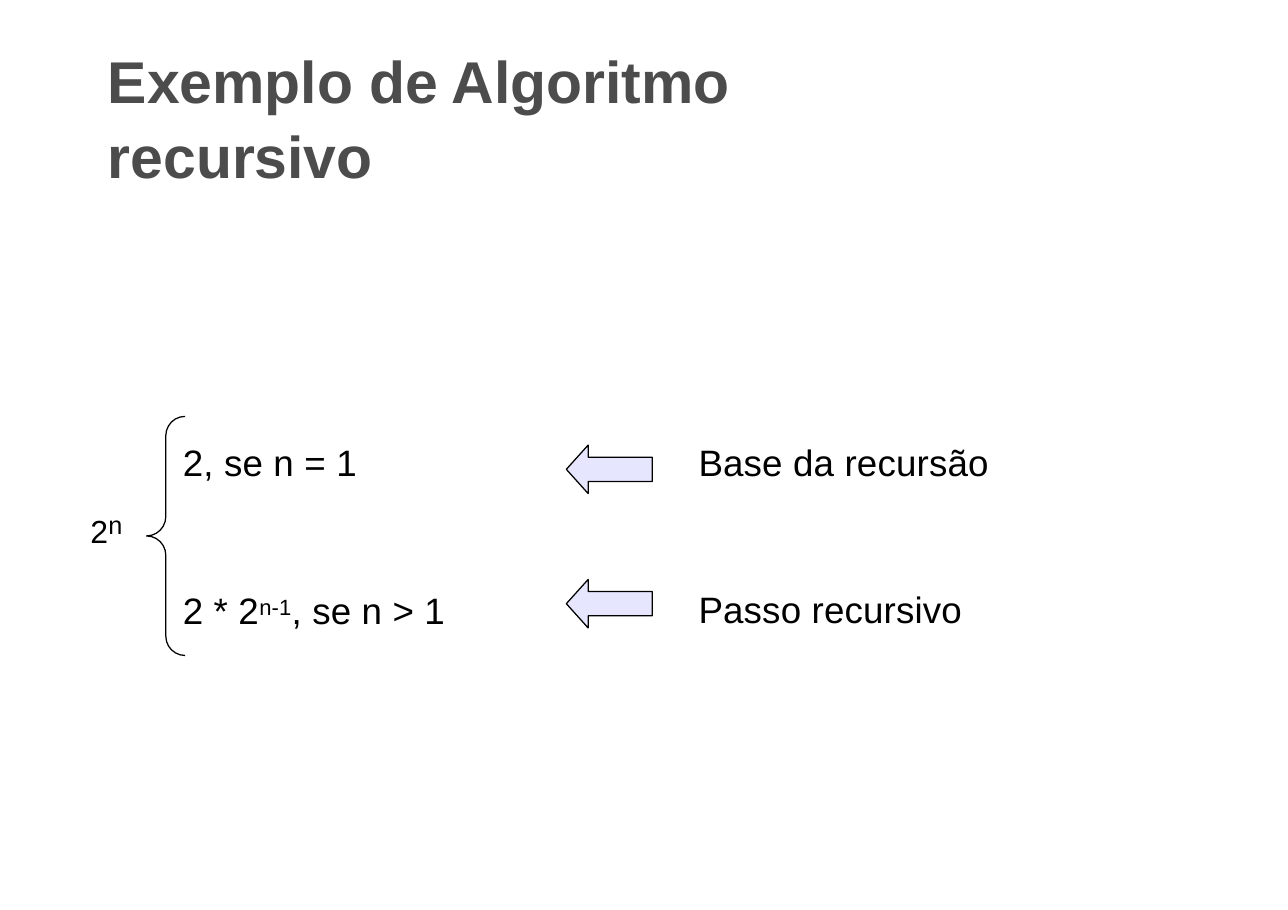
from dataclasses import dataclass

from pptx import Presentation
from pptx.dml.color import RGBColor
from pptx.enum.shapes import MSO_SHAPE
from pptx.util import Inches, Pt

LEFT_ARROW, LEFT_BRACE = MSO_SHAPE.LEFT_ARROW, MSO_SHAPE.LEFT_BRACE


@dataclass(frozen=True)
class Theme:
    font: str = "Arial"
    ink: RGBColor = RGBColor(0x00, 0x00, 0x00)
    heading: RGBColor = RGBColor(0x4C, 0x4C, 0x4C)
    arrow_fill: RGBColor = RGBColor(0xE6, 0xE6, 0xFF)
    title_size: float = 38.5
    body_size: float = 24
    exponent_size: float = 24.8
    power_size: float = 36
    power_exponent_size: float = 16.5
    line_width: float = 0.81
    line_spacing: float = 1.06


THEME = Theme()
SLIDE_WIDTH, SLIDE_HEIGHT = 11.69, 8.26


def add_text(slide, box, runs, color=THEME.ink, bold=False, spacing=10):
    """Each run is (text, size, baseline shift in percent)."""
    text_box = slide.shapes.add_textbox(*map(Inches, box))
    frame = text_box.text_frame
    frame.word_wrap = True
    for side in ("left", "top", "right", "bottom"):
        setattr(frame, f"margin_{side}", 0)
    paragraph = frame.paragraphs[0]
    paragraph.line_spacing = THEME.line_spacing
    for text, size, shift in runs:
        run = paragraph.add_run()
        run.text = text
        formats = {"name": THEME.font, "size": Pt(size), "bold": bold}
        for name, value in formats.items():
            setattr(run.font, name, value)
        run.font.color.rgb = color
        properties = run._r.get_or_add_rPr()
        properties.set("spc", str(spacing))
        if shift:
            properties.set("baseline", str(shift * 1000))


def add_outline(slide, kind, box, adjustments, fill=None):
    shape = slide.shapes.add_shape(kind, *map(Inches, box))
    shape.shadow.inherit = False
    for index, value in enumerate(adjustments):
        shape.adjustments[index] = value
    if fill is None:
        shape.fill.background()
    else:
        shape.fill.solid()
        shape.fill.fore_color.rgb = fill
    shape.line.color.rgb = THEME.ink
    shape.line.width = Pt(THEME.line_width)


def add_title(slide, box):
    add_text(slide, box, [("Exemplo de Algoritmo recursivo", THEME.title_size, 0)],
             THEME.heading, bold=True, spacing=-5)


def add_definition(slide, box):
    left, top, width, height = box
    # Power being defined and its brace
    add_text(slide, (left, top + 0.53, 0.45, 0.4),
             [("2", THEME.power_size, -17), ("n", THEME.power_exponent_size, 0)])
    add_outline(slide, LEFT_BRACE, (left + 0.51, top, 0.35, height), (0.5, 0.5))

    # One row per case: formula, arrow, meaning
    size = THEME.body_size
    cases = [
        ([("2, se n = 1", size, 0)], "Base da recursão"),
        ([("2 * 2", size, 0), ("n-1", THEME.exponent_size, 25),
          (", se n > 1", size, 0)], "Passo recursivo"),
    ]
    formula_left, arrow_left, meaning_left = left + 0.84, left + 4.32, left + 5.52
    for row, (formula, meaning) in enumerate(cases):
        text_top = top + 0.19 + 1.33 * row
        arrow_top = top + 0.26 + 1.22 * row
        add_text(slide, (formula_left, text_top, 2.6, 0.41), formula)
        add_outline(slide, LEFT_ARROW, (arrow_left, arrow_top, 0.78, 0.44),
                    (0.5, 0.45), THEME.arrow_fill)
        add_text(slide, (meaning_left, text_top, left + width - meaning_left, 0.41),
                 [(meaning, size, 0)])


def main():
    presentation = Presentation()
    presentation.slide_width = Inches(SLIDE_WIDTH)
    presentation.slide_height = Inches(SLIDE_HEIGHT)
    slide = presentation.slides.add_slide(presentation.slide_layouts[6])
    add_title(slide, (0.98, 0.37, 6.37, 1.3))
    add_definition(slide, (0.82, 3.78, 8.4, 2.17))
    presentation.save("out.pptx")


if __name__ == "__main__":
    main()
